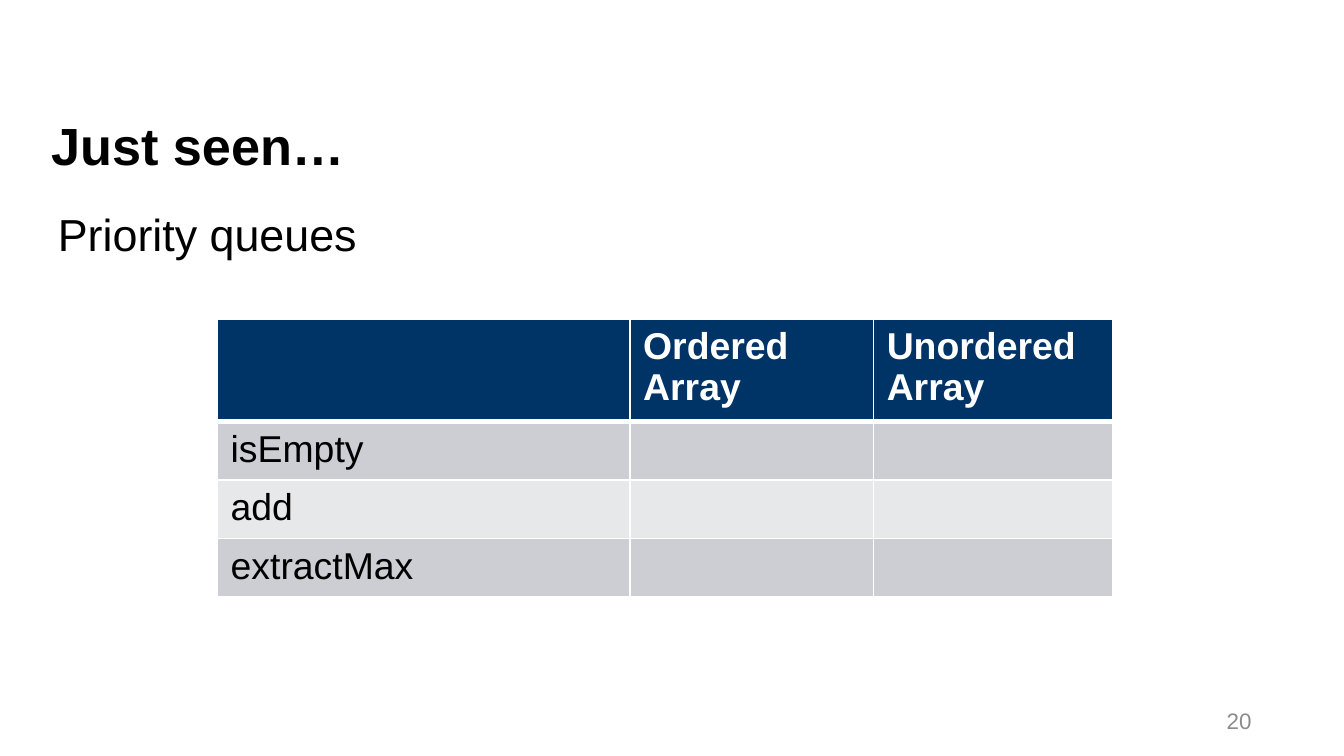
"""Build the priority queue recap slide with its comparison table."""
from lxml import etree
from pptx import Presentation
from pptx.dml.color import RGBColor
from pptx.enum.text import MSO_ANCHOR, PP_ALIGN
from pptx.oxml.ns import qn
from pptx.util import Pt

LEFT, RIGHT = PP_ALIGN.LEFT, PP_ALIGN.RIGHT
TOP, MIDDLE = MSO_ANCHOR.TOP, MSO_ANCHOR.MIDDLE

COLORS = {
    "text": "000000", "number": "8C8C8C", "white": "FFFFFF",
    "header": "003366", "band_dark": "CCCED3", "band_light": "E7E8EA",
}
FONT = "Arial"
SLIDE_SIZE = (720, 405)

TEXTS = [
    ("20", (515.5, 375, 162, 21.6),
     dict(size=12, color="number", align=RIGHT), dict(anchor=MIDDLE, insets=(7.2, 3.6))),
    ("Just seen…", (27.4, 57.6, 663, 51),
     dict(size=28, bold=True), dict(insets=(0, 3))),
    ("Priority queues", (31, 108.7, 663, 259),
     dict(size=24, line_spacing=1.07, space_before=2.8), dict(insets=(0, 0))),
]

ROWS = [
    ("", "Ordered Array", "Unordered Array"),
    ("isEmpty", "", ""),
    ("add", "", ""),
    ("extractMax", "", ""),
]
TABLE_LEFT, TABLE_TOP = 116.4, 170.8
COLUMN_WIDTHS = (221, 130.5, 128.5)
HEADER_HEIGHT, ROW_HEIGHT = 51.4, 29.5
THIN, THICK = 1, 3


def write_text(frame, text, *, size, color="text", bold=False, align=LEFT,
               line_spacing=None, space_before=0):
    paragraph = frame.paragraphs[0]
    paragraph.alignment = align
    paragraph.space_before = Pt(space_before)
    if line_spacing:
        paragraph.line_spacing = line_spacing
    if text:
        paragraph.add_run().text = text
    for font in [paragraph.font] + [run.font for run in paragraph.runs]:
        font.name, font.size, font.bold = FONT, Pt(size), bold
        font.color.rgb = RGBColor.from_string(COLORS[color])


def add_text_box(slide, text, box, text_format, *, insets, anchor=TOP):
    frame = slide.shapes.add_textbox(*map(Pt, box)).text_frame
    frame.word_wrap = True
    frame.vertical_anchor = anchor
    frame.margin_left = frame.margin_right = Pt(insets[0])
    frame.margin_top = frame.margin_bottom = Pt(insets[1])
    write_text(frame, text, **text_format)


def set_borders(cell, top, bottom):
    properties = cell._tc.get_or_add_tcPr()
    widths = {"a:lnL": THIN, "a:lnR": THIN, "a:lnT": top, "a:lnB": bottom}
    for index, (tag, width) in enumerate(widths.items()):
        line = etree.Element(qn(tag), w=str(int(Pt(width))))
        fill = etree.SubElement(line, qn("a:solidFill"))
        etree.SubElement(fill, qn("a:srgbClr"), val=COLORS["white"])
        properties.insert(index, line)


def add_queue_table(slide):
    heights = [HEADER_HEIGHT] + [ROW_HEIGHT] * (len(ROWS) - 1)
    box = (TABLE_LEFT, TABLE_TOP, sum(COLUMN_WIDTHS), sum(heights))
    table = slide.shapes.add_table(len(ROWS), len(COLUMN_WIDTHS), *map(Pt, box)).table
    for column, width in zip(table.columns, COLUMN_WIDTHS):
        column.width = Pt(width)
    for row_index, (texts, height) in enumerate(zip(ROWS, heights)):
        table.rows[row_index].height = Pt(height)
        is_header = row_index == 0
        band = "header" if is_header else "band_dark" if row_index % 2 else "band_light"
        for column_index, text in enumerate(texts):
            cell = table.cell(row_index, column_index)
            cell.fill.solid()
            cell.fill.fore_color.rgb = RGBColor.from_string(COLORS[band])
            set_borders(cell, top=THICK if row_index == 1 else THIN,
                        bottom=THICK if is_header else THIN)
            write_text(cell.text_frame, text, size=20, bold=is_header,
                       color="white" if is_header else "text")


def main():
    presentation = Presentation()
    presentation.slide_width, presentation.slide_height = map(Pt, SLIDE_SIZE)
    slide = presentation.slides.add_slide(presentation.slide_layouts[6])
    for text, box, text_format, frame_format in TEXTS:
        add_text_box(slide, text, box, text_format, **frame_format)
    add_queue_table(slide)
    presentation.save("out.pptx")


if __name__ == "__main__":
    main()
